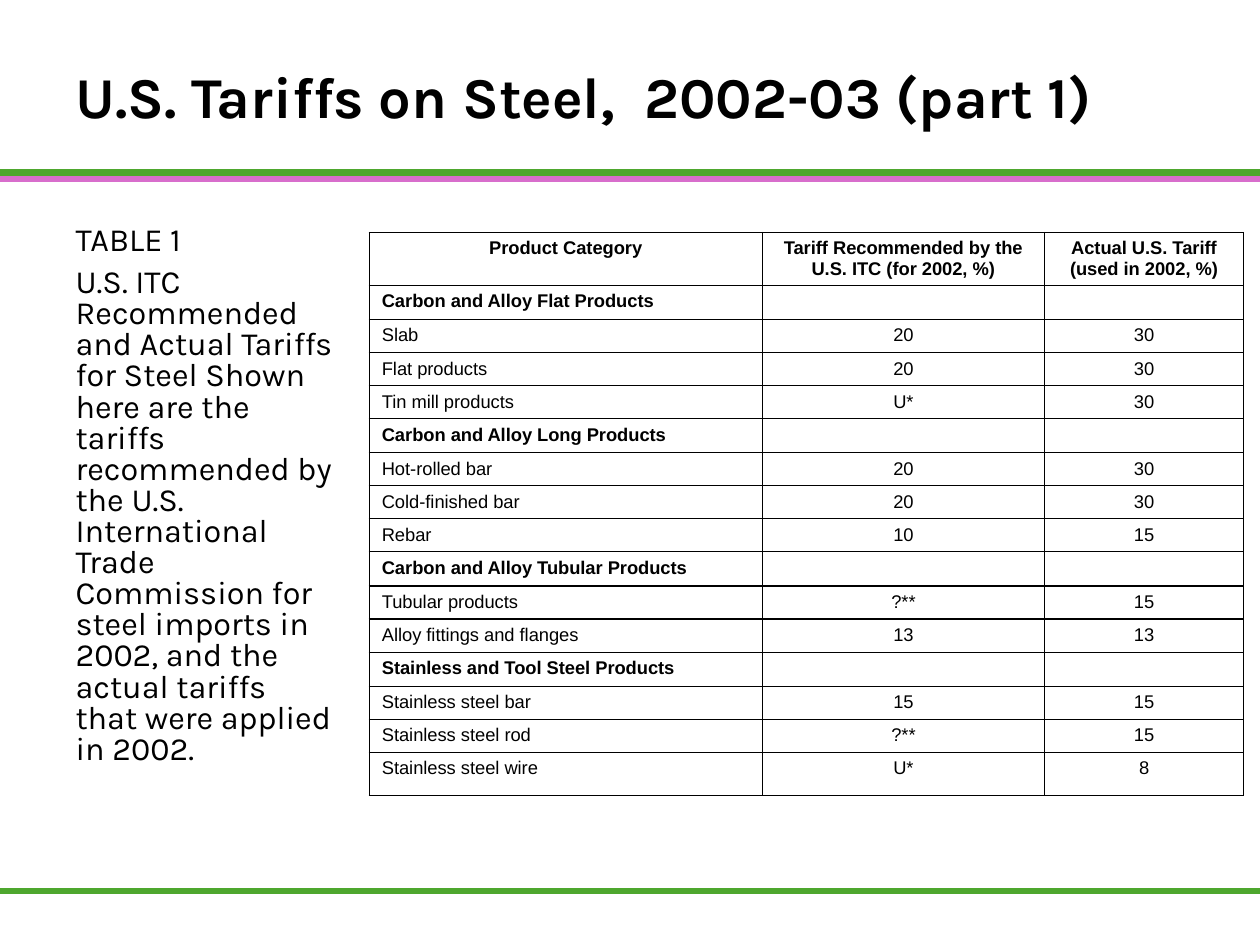
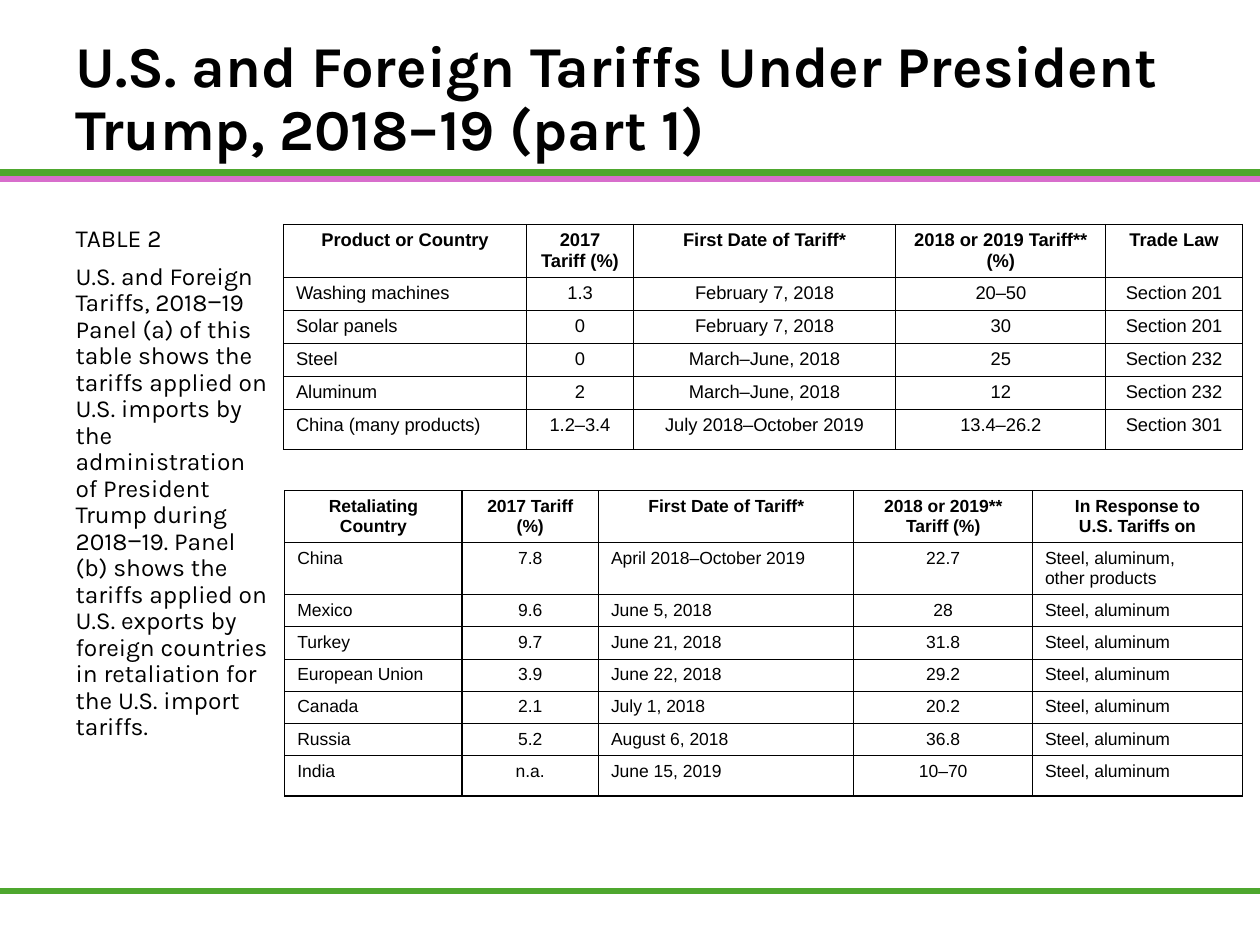
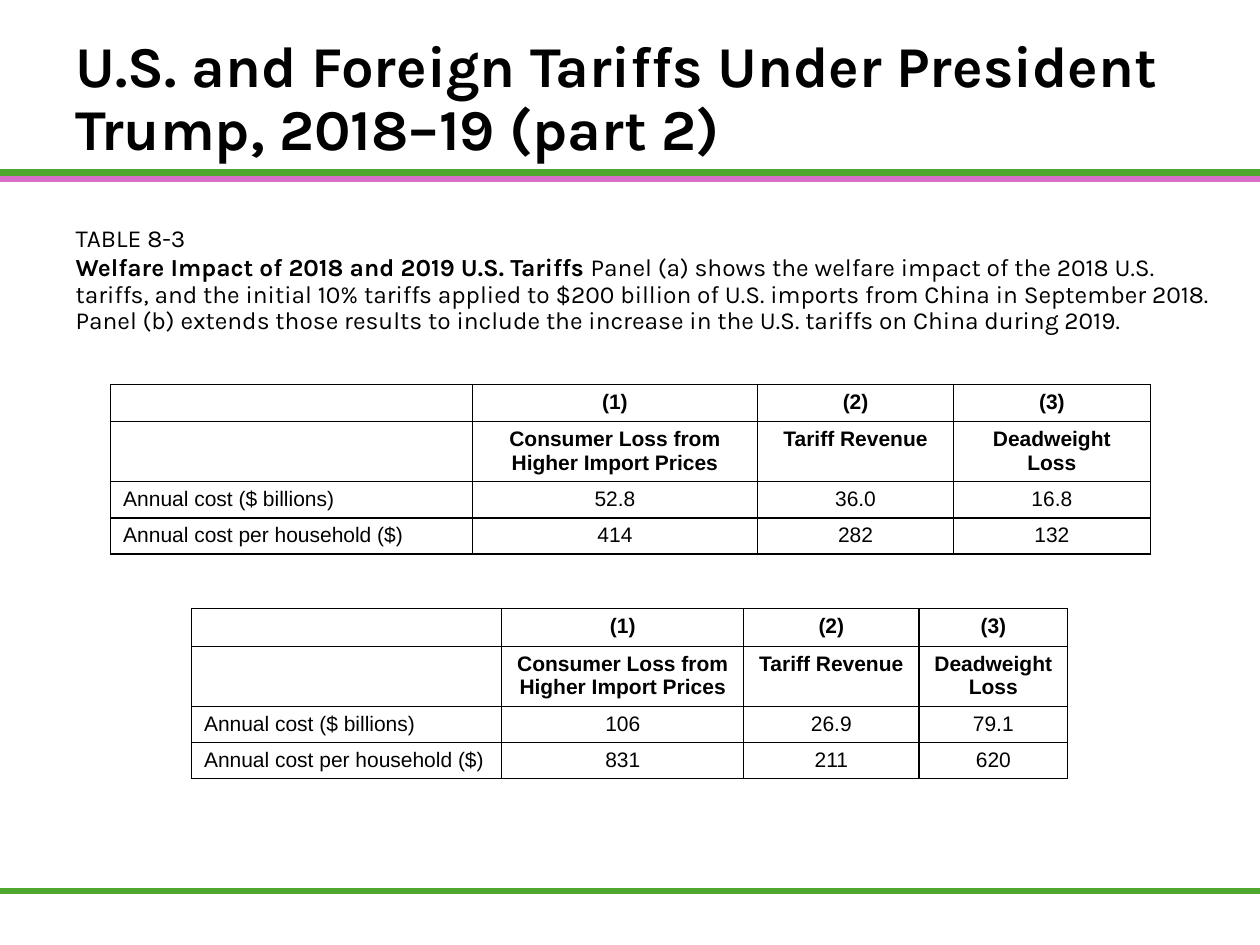
from dataclasses import dataclass

from lxml.etree import SubElement
from pptx import Presentation
from pptx.dml.color import RGBColor
from pptx.enum.shapes import MSO_CONNECTOR
from pptx.enum.text import MSO_ANCHOR, MSO_AUTO_SIZE, PP_ALIGN
from pptx.oxml.ns import qn
from pptx.util import Pt

# Shared look
COLORS = {"text": "000000", "border": "000000", "green": "4EA72E", "pink": "D86ECC"}
SLIDE_W, SLIDE_H = 720, 540
TITLE_BOX = (36, 12.25, 648, 90)
TITLE_FORMAT = {"name": "Karla", "size": Pt(33), "bold": True}
BODY_LEFT, BODY_TOP = 36, 126
CELL_MARGINS = {"margin_left": Pt(7.2), "margin_right": Pt(7.2),
                "margin_top": Pt(3.4), "margin_bottom": Pt(3.4)}
ALIGN = {"l": PP_ALIGN.LEFT, "c": PP_ALIGN.CENTER}


@dataclass
class Rule:
    y: float
    color: str


@dataclass
class Caption:
    """Body text: each paragraph is a list of (text, bold) runs."""
    width: float
    height: float
    size: float
    line_spacing: float
    gap: float
    paragraphs: list


@dataclass
class TableSpec:
    left: float
    top: float
    widths: list
    heights: list
    size: float
    aligns: str
    rows: list
    header_rows: int = 1


@dataclass
class SlideSpec:
    title: str
    caption: Caption
    tables: list


RULES = [Rule(509, "green"), Rule(98.6, "green"), Rule(102.2, "pink")]


def rgb(name: str) -> RGBColor:
    return RGBColor.from_string(COLORS[name])


def apply(target, values: dict) -> None:
    for name, value in values.items():
        setattr(target, name, value)


def style_font(font, values: dict) -> None:
    apply(font, values)
    font.color.rgb = rgb("text")


def place(sp, left: float, top: float, width: float, height: float) -> None:
    apply(sp, {"left": Pt(left), "top": Pt(top), "width": Pt(width), "height": Pt(height)})


# Title, caption and rules
def add_title(s, text: str) -> None:
    sp = s.shapes.title
    place(sp, *TITLE_BOX)
    tf = sp.text_frame
    apply(tf, {"text": text, "word_wrap": True, "auto_size": MSO_AUTO_SIZE.NONE,
               "vertical_anchor": MSO_ANCHOR.MIDDLE})
    p = tf.paragraphs[0]
    apply(p, {"alignment": PP_ALIGN.LEFT, "line_spacing": 0.9})
    style_font(p.runs[0].font, TITLE_FORMAT)


def add_caption(s, cap: Caption) -> None:
    sp = s.placeholders[1]
    place(sp, BODY_LEFT, BODY_TOP, cap.width, cap.height)
    tf = sp.text_frame
    apply(tf, {"word_wrap": True, "auto_size": MSO_AUTO_SIZE.NONE,
               "vertical_anchor": MSO_ANCHOR.TOP})
    for i, runs in enumerate(cap.paragraphs):
        p = tf.add_paragraph() if i else tf.paragraphs[0]
        apply(p, {"alignment": PP_ALIGN.LEFT, "line_spacing": cap.line_spacing,
                  "space_before": Pt(cap.gap if i else 0)})
        p_pr = p._p.get_or_add_pPr()
        p_pr.set("marL", "0")
        p_pr.set("indent", "0")
        SubElement(p_pr, qn("a:buNone"))
        for text, bold in runs:
            r = p.add_run()
            r.text = text
            style_font(r.font, {"name": "Karla", "size": Pt(cap.size), "bold": bold})


def add_rule(s, rule: Rule) -> None:
    line = s.shapes.add_connector(MSO_CONNECTOR.STRAIGHT, Pt(0), Pt(rule.y),
                                  Pt(SLIDE_W), Pt(rule.y))
    line.line.color.rgb = rgb(rule.color)
    line.line.width = Pt(3.5)
    SubElement(line._element.spPr, qn("a:effectLst"))


# Tables
def add_borders(cell) -> None:
    tc_pr = cell._tc.get_or_add_tcPr()
    for i, side in enumerate(("lnL", "lnR", "lnT", "lnB")):
        ln = tc_pr.makeelement(qn(f"a:{side}"), {"w": str(Pt(0.75))})
        fill = SubElement(ln, qn("a:solidFill"))
        SubElement(fill, qn("a:srgbClr"), val=COLORS["border"])
        tc_pr.insert(i, ln)


def fill_cell(cell, text: str, align: str, size: float, bold: bool) -> None:
    apply(cell, CELL_MARGINS)
    cell.vertical_anchor = MSO_ANCHOR.TOP
    cell.fill.background()
    add_borders(cell)
    tf = cell.text_frame
    tf.text = text
    for p in tf.paragraphs:
        p.alignment = ALIGN[align]
        for r in p.runs:
            style_font(r.font, {"name": "Arial", "size": Pt(size), "bold": bold})
        if not p.runs:
            p._p.get_or_add_endParaRPr().set("sz", str(int(size * 100)))


def add_table(s, spec: TableSpec) -> None:
    frame = s.shapes.add_table(len(spec.rows), len(spec.widths), Pt(spec.left), Pt(spec.top),
                               Pt(sum(spec.widths)), Pt(sum(spec.heights)))
    table = frame.table
    apply(table, {"first_row": False, "horz_banding": False})
    for col, width in zip(table.columns, spec.widths):
        col.width = Pt(width)
    for i, (row, height, texts) in enumerate(zip(table.rows, spec.heights, spec.rows)):
        row.height = Pt(height)
        header = i < spec.header_rows
        section = not any(texts[1:])
        for cell, text, align in zip(row.cells, texts, spec.aligns):
            fill_cell(cell, text, "c" if header else align, spec.size, header or section)


# Content
STEEL_ROWS = [
    ("Product Category", "Tariff Recommended by the U.S. ITC (for 2002, %)",
     "Actual U.S. Tariff\n(used in 2002, %)"),
    ("Carbon and Alloy Flat Products", "", ""),
    ("Slab", "20", "30"),
    ("Flat products", "20", "30"),
    ("Tin mill products", "U*", "30"),
    ("Carbon and Alloy Long Products", "", ""),
    ("Hot-rolled bar", "20", "30"),
    ("Cold-finished bar", "20", "30"),
    ("Rebar", "10", "15"),
    ("Carbon and Alloy Tubular Products", "", ""),
    ("Tubular products", "?**", "15"),
    ("Alloy fittings and flanges", "13", "13"),
    ("Stainless and Tool Steel Products", "", ""),
    ("Stainless steel bar", "15", "15"),
    ("Stainless steel rod", "?**", "15"),
    ("Stainless steel wire", "U*", "8"),
]

IMPORT_ROWS = [
    ("Product or Country", "2017 Tariff (%)", "First Date of Tariff*",
     "2018 or 2019 Tariff** (%)", "Trade Law"),
    ("Washing machines", "1.3", "February 7, 2018", "20–50", "Section 201"),
    ("Solar panels", "0", "February 7, 2018", "30", "Section 201"),
    ("Steel", "0", "March–June, 2018", "25", "Section 232"),
    ("Aluminum", "2", "March–June, 2018", "12", "Section 232"),
    ("China (many products)", "1.2–3.4", "July 2018–October 2019", "13.4–26.2", "Section 301"),
]

METALS = "Steel, aluminum"
RETALIATION_ROWS = [
    ("Retaliating Country", "2017 Tariff (%)", "First Date of Tariff*",
     "2018 or 2019** Tariff (%)", "In Response to\nU.S. Tariffs on"),
    ("China", "7.8", "April 2018–October 2019", "22.7", f"{METALS},\nother products"),
    ("Mexico", "9.6", "June 5, 2018", "28", METALS),
    ("Turkey", "9.7", "June 21, 2018", "31.8", METALS),
    ("European Union", "3.9", "June 22, 2018", "29.2", METALS),
    ("Canada", "2.1", "July 1, 2018", "20.2", METALS),
    ("Russia", "5.2", "August 6, 2018", "36.8", METALS),
    ("India", "n.a.", "June 15, 2019", "10–70", METALS),
]


def welfare_table(left: float, top: float, widths: list, total: tuple,
                  household: tuple) -> TableSpec:
    rows = [
        ("", "(1)", "(2)", "(3)"),
        ("", "Consumer Loss from\nHigher Import Prices", "Tariff Revenue", "Deadweight\nLoss"),
        ("Annual cost ($ billions)", *total),
        ("Annual cost per household ($)", *household),
    ]
    return TableSpec(left, top, widths, [20.6, 34.4, 20.6, 20.6], 12, "lccc", rows, 2)


SLIDES = [
    SlideSpec(
        "U.S. Tariffs on Steel,  2002-03 (part 1)",
        Caption(162, 348, 18.5, 0.8, 6.2, [
            [("TABLE 1", False)],
            [("U.S. ITC Recommended and Actual Tariffs for Steel Shown here are the tariffs "
              "recommended by the U.S. International Trade Commission for steel imports in "
              "2002, and the actual tariffs that were applied in 2002.", False)],
        ]),
        [TableSpec(211, 132.8, [224.6, 161.3, 113.8], [30.3] + [18.9] * 14 + [24.5],
                   10.5, "lcc", STEEL_ROWS)],
    ),
    SlideSpec(
        "U.S. and Foreign Tariffs Under President Trump, 2018–19 (part 1)",
        Caption(126, 336, 14, 0.9, 6.2, [
            [("TABLE 2", False)],
            [("U.S. and Foreign Tariffs, 2018‒19 Panel (a) of this table shows the tariffs "
              "applied on U.S. imports by the administration of President Trump during "
              "2018‒19. Panel (b) shows the tariffs applied on U.S. exports by foreign "
              "countries in retaliation for the U.S. import tariffs.", False)],
        ]),
        [TableSpec(162.7, 280.5, [101.3, 78, 146, 102, 120], [29.7] * 2 + [18.4] * 5 + [23],
                   10, "lclcl", RETALIATION_ROWS),
         TableSpec(162, 128.2, [139, 61, 150, 120, 78], [30.3] + [18.9] * 4 + [23],
                   10.5, "lcccc", IMPORT_ROWS)],
    ),
    SlideSpec(
        "U.S. and Foreign Tariffs Under President Trump, 2018–19 (part 2)",
        Caption(666, 90, 14, 0.9, 1.4, [
            [("TABLE 8-3", False)],
            [("Welfare Impact of 2018 and 2019 U.S. Tariffs ", True),
             ("Panel (a) shows the welfare impact of the 2018 U.S. tariffs, and the initial "
              "10% tariffs applied to $200 billion of U.S. imports from China in September "
              "2018. Panel (b) extends those results to include the increase in the U.S. "
              "tariffs on China during 2019.", False)],
        ]),
        [welfare_table(109.4, 347.8, [177.4, 138.2, 100.2, 85],
                       ("106", "26.9", "79.1"), ("831", "211", "620")),
         welfare_table(63.2, 219.6, [206.8, 162.8, 112.2, 112.2],
                       ("52.8", "36.0", "16.8"), ("414", "282", "132"))],
    ),
]


def main() -> None:
    prs = Presentation()
    prs.slide_width, prs.slide_height = Pt(SLIDE_W), Pt(SLIDE_H)
    for spec in SLIDES:
        s = prs.slides.add_slide(prs.slide_layouts[1])
        for rule in RULES:
            add_rule(s, rule)
        add_title(s, spec.title)
        add_caption(s, spec.caption)
        for table in spec.tables:
            add_table(s, table)
    prs.save("out.pptx")


if __name__ == "__main__":
    main()
